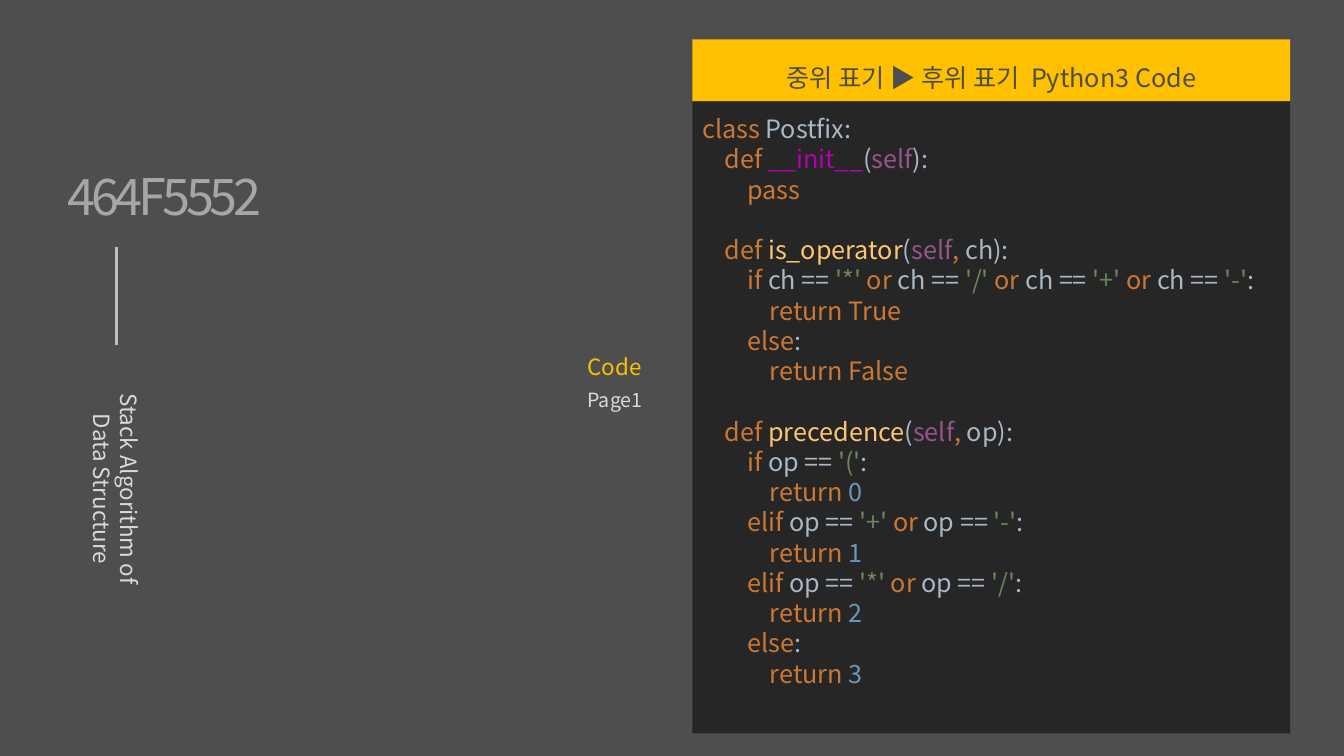
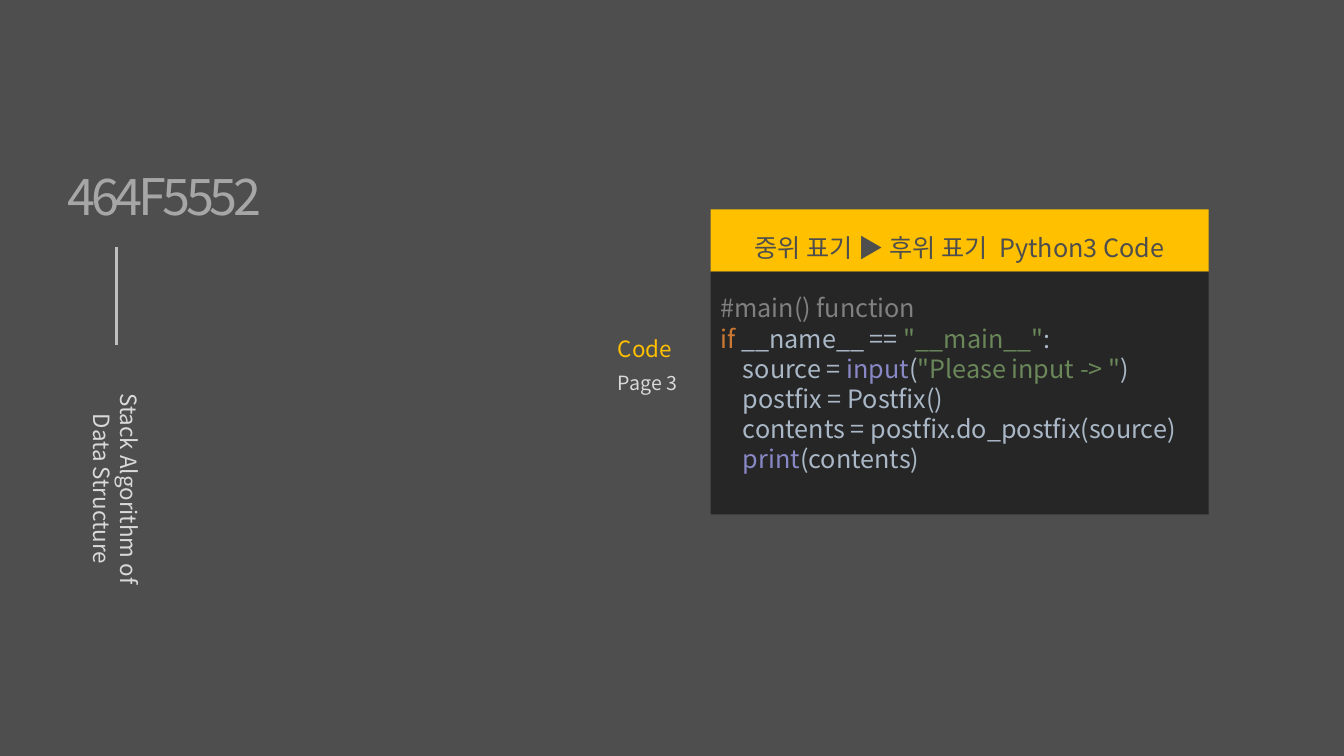
"""Builds two dark slides that show Python code for infix to postfix."""
import pptx
import pptx.dml.color
import pptx.enum.shapes
import pptx.enum.text
import pptx.oxml
import pptx.oxml.ns
import pptx.util

Pt = pptx.util.Pt
RGB = pptx.dml.color.RGBColor.from_string
Align = pptx.enum.text.PP_ALIGN
qn = pptx.oxml.ns.qn


class Theme:
    font = "Noto Sans CJK KR"
    back, band, panel = "4D4E4D", "FFC000", "262626"
    light, rule, mark = "D9D9D9", "BFBFBF", "A6A6A6"
    big, code, label, small = 36, 18, 16, 14
    blank = 21.6
    syntax = {
        "k": "CC7832",
        "n": "A9B7C6",
        "m": "B200B2",
        "s": "94558D",
        "f": "FFC66D",
        "q": "6A8759",
        "d": "6897BB",
        "b": "8888C6",
        "c": "808080",
    }


def style(para, size, color, align=Align.LEFT):
    para.alignment = align
    para.font.size = Pt(size)
    para.font.name = Theme.font
    para.font.color.rgb = RGB(color)
    props = para._p.pPr.find(qn("a:defRPr"))
    east = props.makeelement(qn("a:ea"), {"typeface": Theme.font})
    props.append(east)
    return props


def write(slide, text, box, size, color, align=Align.LEFT):
    shape = slide.shapes.add_textbox(*map(Pt, box))
    shape.text_frame.word_wrap = True
    shape.text_frame.text = text
    props = style(shape.text_frame.paragraphs[0], size, color, align)
    return shape, props


# Each part of a code line starts with the key of its colour; "" is a blank line.
pages = [
    {
        "page": "Page1",
        "tag": (412.6, 248.4),
        "band": (494.6, 28.1, 427, 44.4),
        "height": 451.4,
        "inset": 8.6,
        "code": [
            "kclass |nPostfix:",
            "k    def |m__init__|n(|sself|n):",
            "k        pass",
            "",
            "k    def |fis_operator|n(|sself|k, |nch):",
            "k        if |nch == |q'*' |kor |nch == |q'/' |kor |nch == |q'+' |kor |nch == |q'-'|n:",
            "k            return True",
            "k        else|n:",
            "k            return False",
            "",
            "k    def |fprecedence|n(|sself|k, |nop):",
            "k        if |nop == |q'('|n:",
            "k            return |d0",
            "k        elif |nop == |q'+' |kor |nop == |q'-'|n:",
            "k            return |d1",
            "k        elif |nop == |q'*' |kor |nop == |q'/'|n:",
            "k            return |d2",
            "k        else|n:",
            "k            return |d3",
        ],
    },
    {
        "page": "Page 3",
        "tag": (434.2, 236.2),
        "band": (507.6, 149.6, 355.7, 44.4),
        "height": 173.5,
        "inset": 15,
        "code": [
            "c#main() function",
            'kif |n__name__ == |q"__main__"|n:',
            'n    source = |binput|n(|q"Please input -> "|n)',
            "n    postfix = Postfix()",
            "n    contents = postfix.do_postfix(source)",
            "b    print|n(contents)",
        ],
    },
]

deck = pptx.Presentation()
deck.slide_width, deck.slide_height = Pt(960), Pt(540)
fill = deck.slide_master.background.fill
fill.solid()
fill.fore_color.rgb = RGB(Theme.back)

for page in pages:
    slide = deck.slides.add_slide(deck.slide_layouts[5])
    left, top, width, height = page["band"]

    title = slide.shapes.title
    title.left, title.top, title.width, title.height = map(Pt, page["band"])
    title.fill.solid()
    title.fill.fore_color.rgb = RGB(Theme.band)
    frame = title.text_frame
    frame.text = "중위 표기 ▶ 후위 표기  Python3 Code"
    frame.auto_size = pptx.enum.text.MSO_AUTO_SIZE.NONE
    frame.vertical_anchor = pptx.enum.text.MSO_ANCHOR.TOP
    frame.margin_top = Pt(5.6)
    frame.paragraphs[0].line_spacing = 1.5
    style(frame.paragraphs[0], Theme.code, Theme.back, Align.CENTER)

    label, props = write(slide, "Stack Algorithm of Data Structure",
                         (-2.2, 326.2, 170, 46), Theme.label, Theme.light, Align.CENTER)
    label.rotation = 90

    rule = slide.shapes.add_connector(pptx.enum.shapes.MSO_CONNECTOR.STRAIGHT,
                                      Pt(83.5), Pt(176.4), Pt(83.5), Pt(246.2))
    rule.line.color.rgb = RGB(Theme.rule)
    rule.line.width = Pt(2.25)
    rule._element.spPr.append(pptx.oxml.parse_xml(
        '<a:effectLst xmlns:a="http://schemas.openxmlformats.org/drawingml/2006/main"/>'))

    panel = slide.shapes.add_shape(pptx.enum.shapes.MSO_SHAPE.RECTANGLE, Pt(left),
                                   Pt(top + height), Pt(width), Pt(page["height"]))
    panel.shadow.inherit = False
    panel.fill.solid()
    panel.fill.fore_color.rgb = RGB(Theme.panel)
    panel.line.fill.background()
    frame = panel.text_frame
    frame.word_wrap = True
    frame.vertical_anchor = pptx.enum.text.MSO_ANCHOR.TOP
    frame.margin_top = Pt(page["inset"])
    frame.margin_left = Pt(7)
    para, gap = frame.paragraphs[0], 0
    for row, line in enumerate(page["code"]):
        if not line:
            gap = Theme.blank
            continue
        if row:
            para = frame.add_paragraph()
        if gap:
            para.space_before = Pt(gap)
            gap = 0
        style(para, Theme.code, Theme.syntax["n"])
        for part in line.split("|"):
            run = para.add_run()
            run.text = part[1:]
            run.font.color.rgb = RGB(Theme.syntax[part[0]])

    x, y = page["tag"]
    write(slide, "Code", (x, y, 80, 26.6), Theme.label, Theme.band)
    write(slide, page["page"], (x, y + 25.2, 80, 24.5), Theme.small, Theme.light)

    mark, props = write(slide, "464F5552", (41, 114.5, 190, 51), Theme.big, Theme.mark)
    props.set("spc", "-300")

deck.save("out.pptx")
